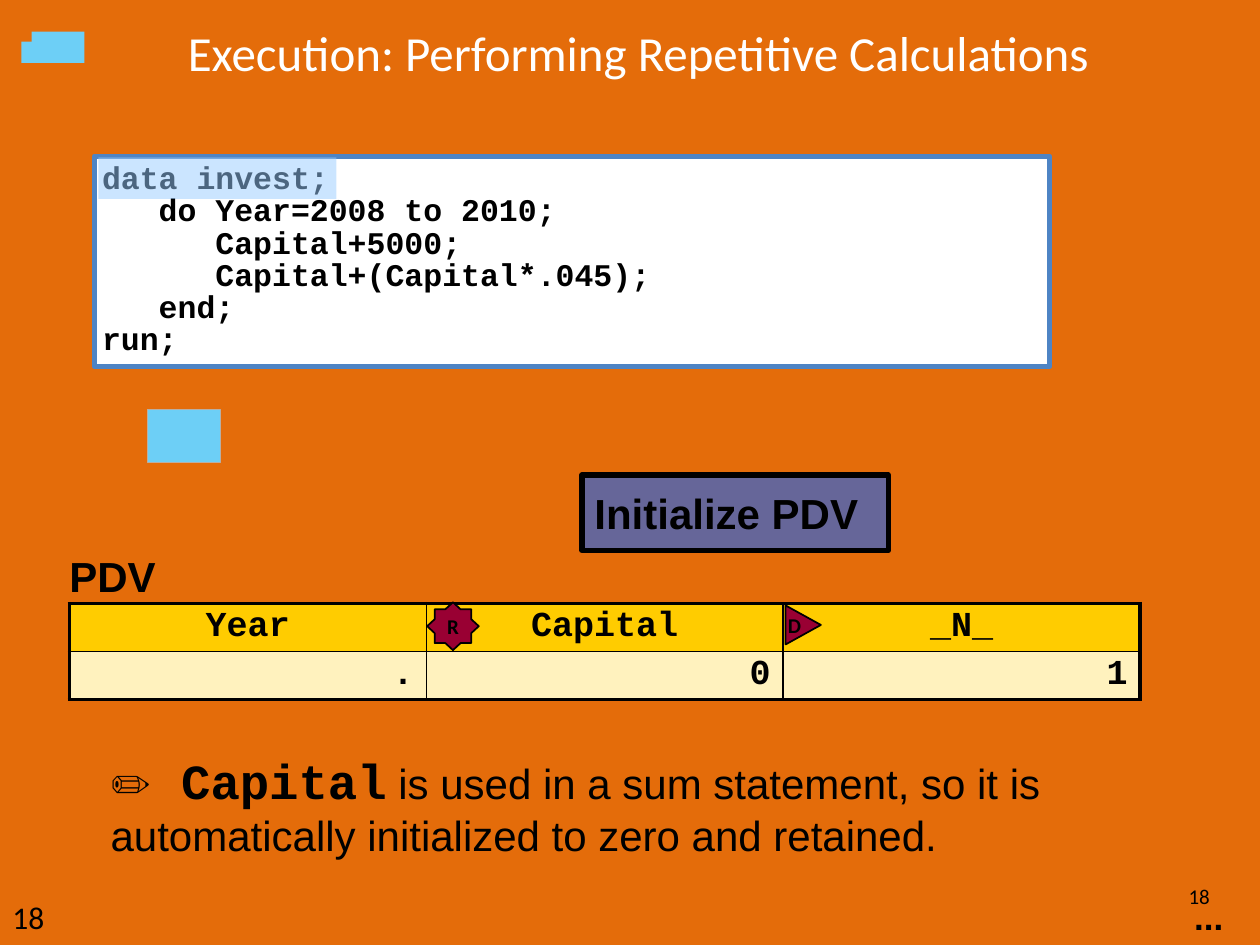
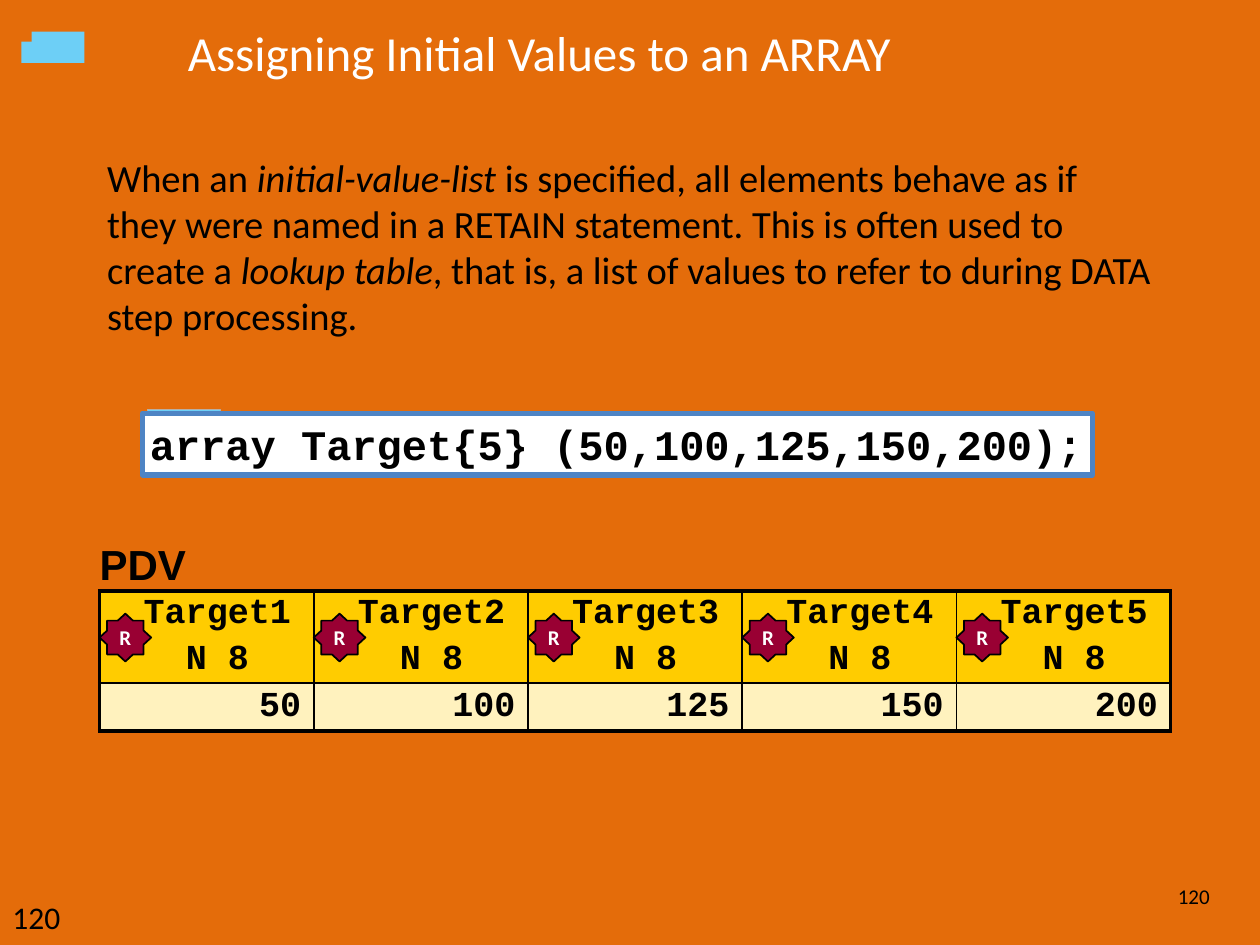
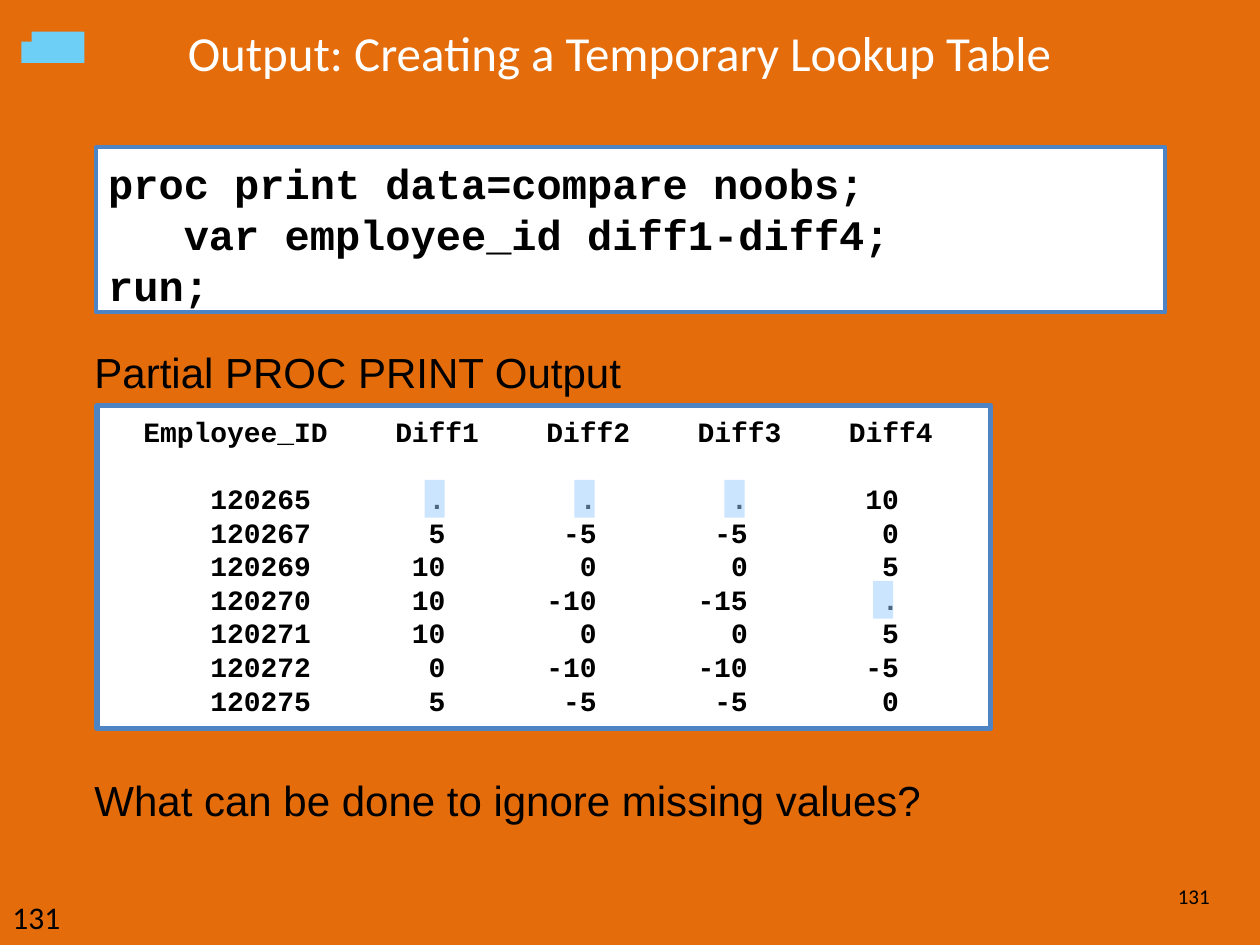
from lxml.etree import SubElement
from pptx import Presentation
from pptx.dml.color import RGBColor
from pptx.enum.shapes import MSO_SHAPE
from pptx.enum.text import MSO_ANCHOR, PP_ALIGN
from pptx.oxml.ns import qn
from pptx.util import Inches, Pt

HUES = {
    "back": "E46C0A", "sky": "6DCFF6", "edge": "B9AFA4", "white": "FFFFFF",
    "black": "000000", "blue": "4E84C4", "gold": "FFCC00", "cream": "FFF2BE",
    "wine": "990033", "slate": "666699", "mark": "99CCFF",
}
TONES = {name: RGBColor.from_string(code) for name, code in HUES.items()}
MONO = "Courier New"
PLAIN_GRID = "{2D5ABB26-0587-4C30-8999-92F81FD0307C}"


def write(frame, text, font="Arial", size=24, hue="black", bold=False,
          align=PP_ALIGN.LEFT, anchor=MSO_ANCHOR.TOP, inset=(0.1, 0.05),
          wrap=True, pitch=None, before=0, tabs=()):
    """Add paragraphs to a frame; text is a string or a list of (text, changes)."""
    frame.word_wrap = wrap
    frame.vertical_anchor = anchor
    frame.margin_left = frame.margin_right = Inches(inset[0])
    frame.margin_top = frame.margin_bottom = Inches(inset[1])
    lines = [[(line, {})] for line in text.split("\n")] if isinstance(text, str) else [text]
    for line in lines:
        para = frame.add_paragraph() if frame.text else frame.paragraphs[0]
        para.alignment = align
        para.space_before = Pt(before)
        if pitch:
            para.line_spacing = Pt(pitch)
        if tabs:
            stops = SubElement(para._p.get_or_add_pPr(), qn("a:tabLst"))
            for place, side in tabs:
                SubElement(stops, qn("a:tab"), pos=str(Inches(place)), algn=side)
        for words, changes in line:
            run = para.add_run()
            run.text = words
            run.font.name = changes.get("font", font)
            run.font.size = Pt(changes.get("size", size))
            run.font.bold = changes.get("bold", bold)
            run.font.italic = changes.get("italic", False)
            run.font.color.rgb = TONES[hue]


def box(slide, at, fill=None, line=None, width=1, form=MSO_SHAPE.RECTANGLE, alpha=None):
    """Add a filled shape, or a text box if there is no fill."""
    place = [Inches(n) for n in at]
    if not fill:
        return slide.shapes.add_textbox(*place)
    shape = slide.shapes.add_shape(form, *place)
    shape.shadow.inherit = False
    shape.fill.solid()
    shape.fill.fore_color.rgb = TONES[fill]
    if alpha:
        color = shape._element.spPr.find(qn("a:solidFill"))[0]
        SubElement(color, qn("a:alpha"), val=str(alpha * 1000))
    if line:
        shape.line.color.rgb = TONES[line]
        shape.line.width = Pt(width)
    else:
        shape.line.fill.background()
    return shape


deck = Presentation()
deck.slide_width, deck.slide_height = Inches(10), Inches(7.5)
deck.slide_master.background.fill.solid()
deck.slide_master.background.fill.fore_color.rgb = TONES["back"]

# Shared frame: title, blocks and page numbers
pages = [
    ("Execution: Performing Repetitive Calculations", 18, 5, True),
    ("Assigning Initial Values to an ARRAY", 120, 1, True),
    ("Output: Creating a Temporary Lookup Table", 131, 5, False),
]
slides = []
for title, page, layout, block in pages:
    slide = deck.slides.add_slide(deck.slide_layouts[layout])
    head = slide.shapes.title
    head.left, head.top, head.width, head.height = map(Inches, (1.39, 0.12, 8.35, 0.58))
    write(head.text_frame, title, font="Calibri", size=28, hue="white",
          anchor=MSO_ANCHOR.MIDDLE)
    box(slide, (0.25, 0.25, 0.42, 0.25), "sky")
    box(slide, (0.17, 0.33, 0.17, 0.17), "sky")
    if block:
        box(slide, (1.17, 3.25, 0.58, 0.42), "sky", "edge")
    write(box(slide, (8.97, 6.92, 0.73, 0.39)).text_frame, str(page), font="Calibri",
          size=12, align=PP_ALIGN.RIGHT, anchor=MSO_ANCHOR.MIDDLE)
    write(box(slide, (0, 7.08, 0.58, 0.42)).text_frame, str(page), font="Calibri",
          size=18, wrap=False)
    slides.append(slide)
first, second, third = slides

# Code boxes
code = box(first, (0.75, 1.24, 7.58, 1.67), "white", "blue", 3)
write(code.text_frame, """data invest;
   do Year=2008 to 2010;
      Capital+5000;
      Capital+(Capital*.045);
   end;
run;""", font=MONO, size=18, bold=True, inset=(0.06, 0.06), pitch=18.4)
box(first, (0.78, 1.25, 1.89, 0.33), "mark", alpha=50)

body = second.placeholders[1]
body.left, body.top, body.width, body.height = map(Inches, (0.75, 1.17, 8.5, 2))
write(body.text_frame, [
    ("When an ", {}),
    ("initial-value-list", {"italic": True}),
    (" is specified, all elements behave as if they were named in a RETAIN statement. "
     "This is often used to create a ", {}),
    ("lookup table", {"italic": True}),
    (", that is, a list of values to refer to during DATA step processing.", {}),
], font="Calibri", size=22)
props = body.text_frame.paragraphs[0]._p.get_or_add_pPr()
props.set("marL", "0")
props.set("indent", "0")
SubElement(props, qn("a:buNone"))

code = box(second, (1.13, 3.28, 7.54, 0.49), "white", "blue", 3)
write(code.text_frame, "array Target{5} (50,100,125,150,200);", font=MONO, bold=True,
      inset=(0.06, 0.06), wrap=False, anchor=MSO_ANCHOR.MIDDLE)

code = box(third, (0.76, 1.17, 8.49, 1.31), "white", "blue", 2.25)
write(code.text_frame, """proc print data=compare noobs;
   var employee_id diff1-diff4;
run;""", font=MONO, bold=True, inset=(0.1, 0.08), pitch=29)

# PDV tables: thick outer border, thin inner lines
grids = [
    (first, (0.55, 4.39), (0.4, 0.38, 0.38), 0.1,
     ["Year", "Capital", "_N_"], [".", "0", "1"]),
    (second, (0.79, 4.29), (0.4, 0.73, 0.38), 0.27,
     [f"Target{n}\nN 8" for n in range(1, 6)], ["50", "100", "125", "150", "200"]),
]
for slide, (left, top), tall, pad, names, values in grids:
    count = len(names)
    table = slide.shapes.add_table(3, count, Inches(left), Inches(top),
                                   Inches(8.5), Inches(sum(tall))).table
    table._tbl.tblPr[0].text = PLAIN_GRID
    table.first_row = table.horz_banding = False
    for row, height in zip(table.rows, tall):
        row.height = Inches(height)
    for r in range(3):
        for c in range(count):
            cell = table.cell(r, c)
            if r == 0:
                edges = {"B": 2.25}
            else:
                cell.fill.solid()
                cell.fill.fore_color.rgb = TONES["gold" if r == 1 else "cream"]
                write(cell.text_frame, names[c] if r == 1 else values[c], font=MONO,
                      size=20, bold=True,
                      align=PP_ALIGN.CENTER if r == 1 else PP_ALIGN.RIGHT)
                for para in cell.text_frame.paragraphs[1:]:
                    para.space_before = Pt(4)
                edges = {"L": 2.25 if c == 0 else 1, "R": 2.25 if c == count - 1 else 1,
                         "T": 2.25 if r == 1 else 1, "B": 2.25 if r == 2 else 1}
            cell.margin_left = Inches(pad if r == 1 else 0.1)
            cell.margin_right = Inches(0.1)
            cell.margin_top = cell.margin_bottom = 0
            cell.vertical_anchor = MSO_ANCHOR.MIDDLE
            props = cell._tc.get_or_add_tcPr()
            for i, (side, width) in enumerate(edges.items()):
                edge = SubElement(props, qn(f"a:ln{side}"), w=str(Pt(width)))
                paint = SubElement(edge, qn("a:solidFill"))
                SubElement(paint, qn("a:srgbClr"), val=HUES["black"])
                props.insert(i, edge)
    label = table.cell(0, 0)
    label.merge(table.cell(0, count - 1))
    write(label.text_frame, "PDV", bold=True)
    label.vertical_anchor = MSO_ANCHOR.MIDDLE
    label.margin_left = label.margin_right = label.margin_top = label.margin_bottom = 0

# Retain stars and drop flag
stars = [(first, 3.39, 4.78, "black")]
stars += [(second, 0.79 + 1.7 * n, 4.87, "white") for n in range(5)]
for slide, left, top, hue in stars:
    star = box(slide, (left, top, 0.41, 0.38), "wine", "black", form=MSO_SHAPE.STAR_8_POINT)
    star.adjustments[0] = 0.383
    write(star.text_frame, "R", font="Calibri", size=12, hue=hue, bold=True, wrap=False,
          inset=(0, 0), align=PP_ALIGN.CENTER, anchor=MSO_ANCHOR.MIDDLE)
flag = box(first, (6.22, 4.82, 0.31, 0.28), "wine", "black",
           form=MSO_SHAPE.ISOSCELES_TRIANGLE)
flag.rotation = 90
write(flag.text_frame, "D", font="Calibri", size=12, bold=True, wrap=False,
      inset=(0, 0), align=PP_ALIGN.CENTER, anchor=MSO_ANCHOR.MIDDLE)
flag.text_frame._txBody.bodyPr.set("vert", "vert270")

# Notes on the first slide
step = box(first, (4.62, 3.77, 2.43, 0.6), "slate", "black", 3)
write(step.text_frame, "Initialize PDV", bold=True, anchor=MSO_ANCHOR.MIDDLE)
write(box(first, (0.78, 5.86, 8.55, 1.07)).text_frame, [
    ("✏\t", {"bold": True}),
    ("Capital", {"font": MONO, "size": 28, "bold": True}),
    (" is used in a sum statement, so it is automatically initialized to zero "
     "and retained.", {}),
], inset=(0.1, 0.1), tabs=[(0.56, "l")])
write(box(first, (9.38, 7.06, 0.43, 0.44)).text_frame, "...", size=20, bold=True, wrap=False)

# Printed output, with columns on right tabs counted in characters
for top, text in ((2.75, "Partial PROC PRINT Output"),
                  (6.15, "What can be done to ignore missing values?")):
    write(box(third, (0.75, top, 7.04, 0.5)).text_frame, text, inset=(0, 0))
report = [
    ("Employee_ID", "Diff1", "Diff2", "Diff3", "Diff4"),
    (120265, ".", ".", ".", 10),
    (120267, 5, -5, -5, 0),
    (120269, 10, 0, 0, 5),
    (120270, 10, -10, -15, "."),
    (120271, 10, 0, 0, 5),
    (120272, 0, -10, -10, -5),
    (120275, 5, -5, -5, 0),
]
listing = box(third, (0.77, 3.22, 7.09, 2.56), "white", "blue", 3)
for n, row in enumerate(report):
    ends = (12, 20, 29, 38, 47) if n else (13, 22, 31, 40, 49)
    write(listing.text_frame, "".join(f"\t{value}" for value in row), font=MONO, size=16,
          bold=True, inset=(0.1, 0.07), pitch=19.2, before=19.2 if n == 1 else 0,
          tabs=[(end * 9.6 / 72, "r") for end in ends])
for left, top in ((3.37, 3.81), (4.56, 3.81), (5.75, 3.81), (6.93, 4.61)):
    box(third, (left, top, 0.16, 0.3), "mark", alpha=50)

deck.save("out.pptx")
